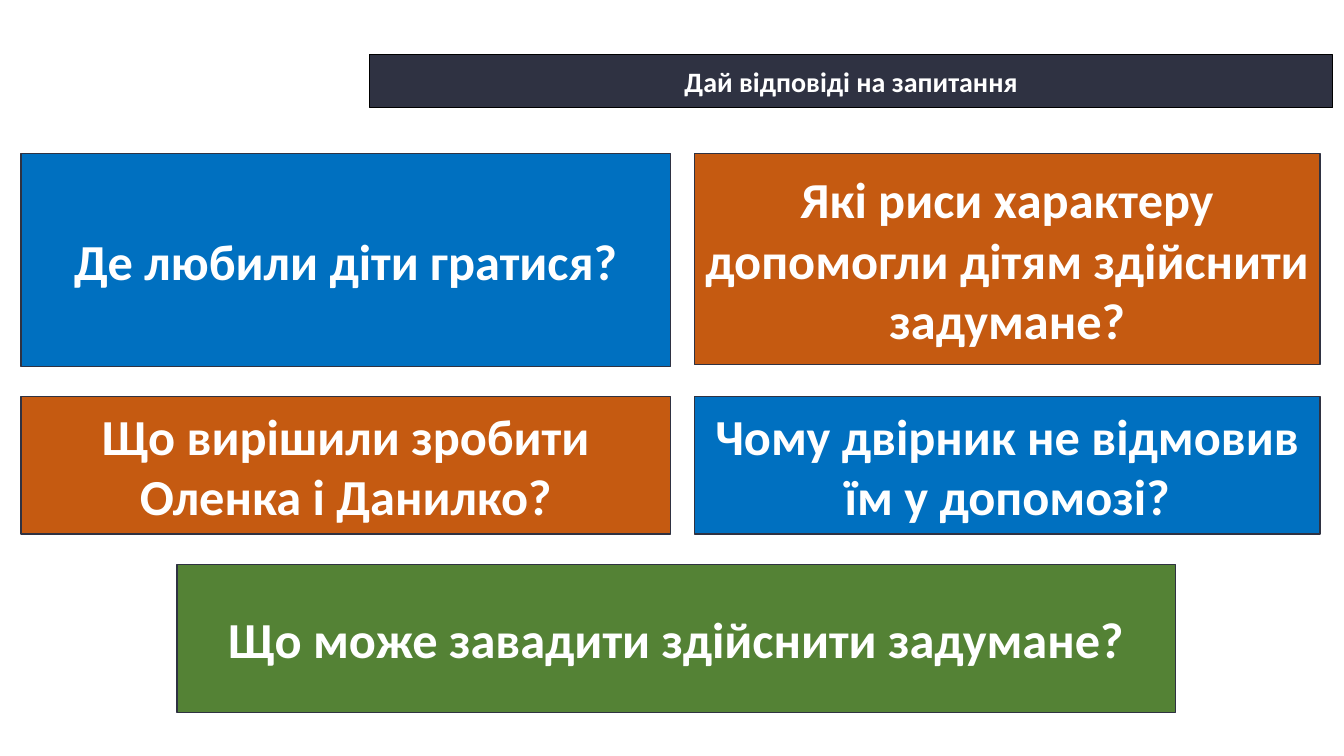
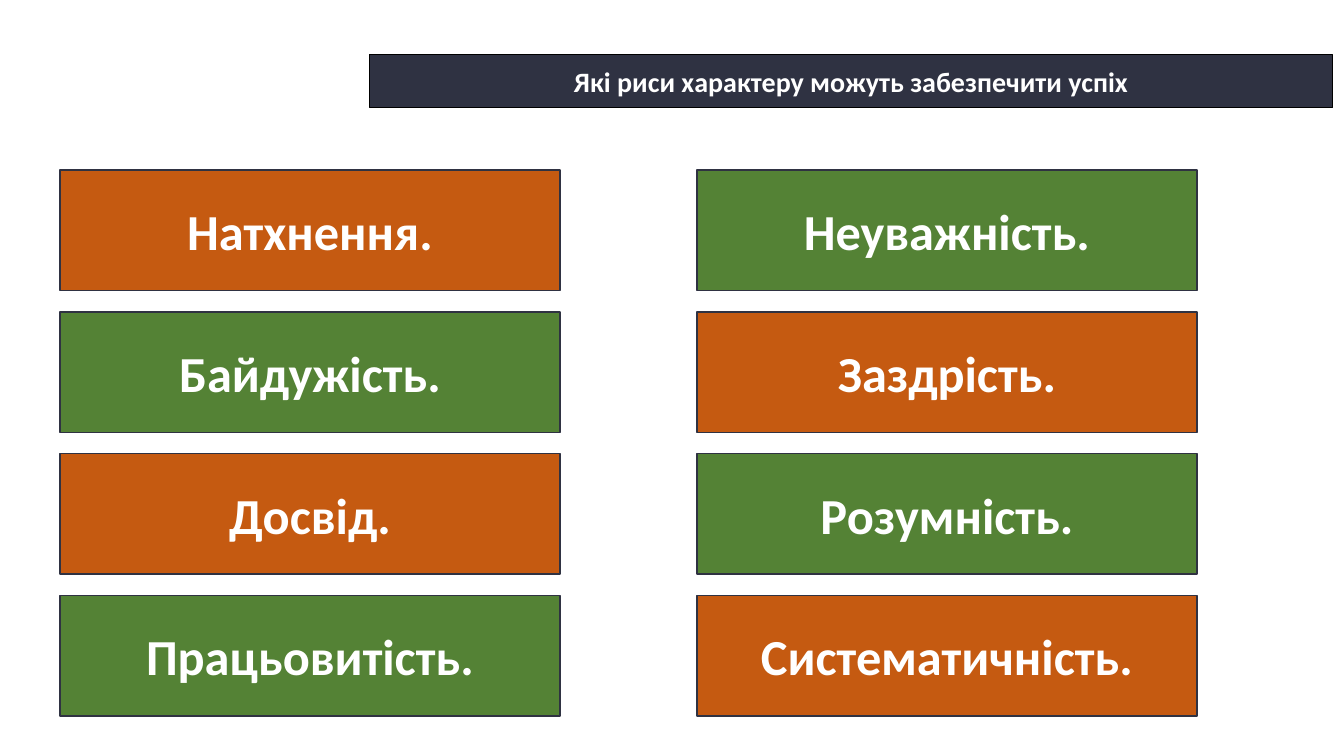
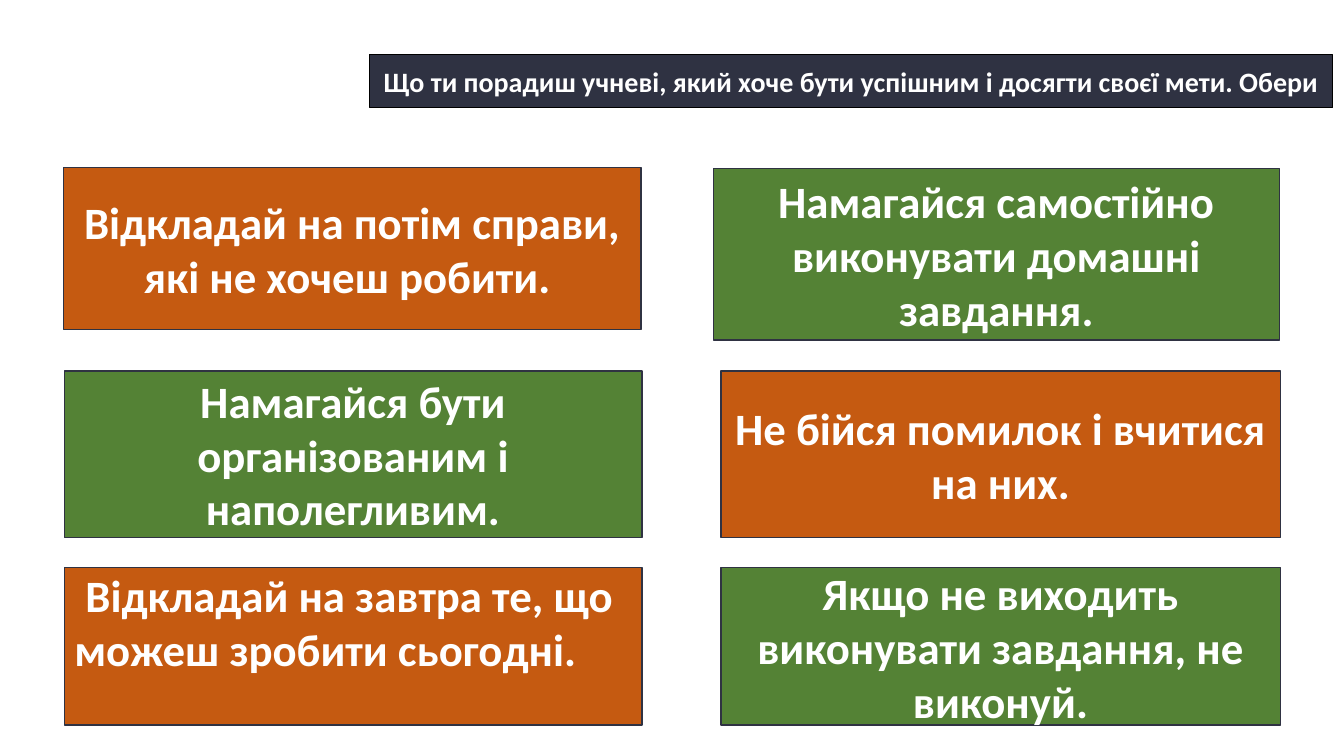
from dataclasses import dataclass

import pptx
import pptx.dml.color
import pptx.enum.shapes
import pptx.enum.text
import pptx.util

Pt = pptx.util.Pt
Align = pptx.enum.text.PP_ALIGN
Anchor = pptx.enum.text.MSO_ANCHOR

NAVY = "2F3242"
BLACK = "000000"
WHITE = "FFFFFF"
BLUE = "0070C0"
ORANGE = "C55A11"
GREEN = "548235"


@dataclass(frozen=True)
class Box:
    text: str
    left: float
    top: float
    width: float
    height: float
    fill: str
    size: int = 36
    line: str = NAVY
    anchor: Anchor = Anchor.MIDDLE
    align: Align = Align.CENTER
    margin_top: float = 3.6
    first_indent: float = 0


def color(value: str) -> pptx.dml.color.RGBColor:
    return pptx.dml.color.RGBColor.from_string(value)


def apply(target: object, values: dict) -> None:
    for name, value in values.items():
        setattr(target, name, value)


def draw_box(slide: pptx.slide.Slide, box: Box) -> None:
    shape = slide.shapes.add_shape(
        pptx.enum.shapes.MSO_SHAPE.RECTANGLE,
        Pt(box.left), Pt(box.top), Pt(box.width), Pt(box.height),
    )
    shape.shadow.inherit = False
    shape.fill.solid()
    shape.fill.fore_color.rgb = color(box.fill)
    shape.line.color.rgb = color(box.line)
    shape.line.width = Pt(1)

    frame = shape.text_frame
    apply(frame, {
        "word_wrap": True,
        "vertical_anchor": box.anchor,
        "margin_top": Pt(box.margin_top),
    })
    paragraph = frame.paragraphs[0]
    paragraph.alignment = box.align
    if box.first_indent:
        properties = paragraph._p.get_or_add_pPr()
        properties.set("marL", "0")
        properties.set("indent", str(Pt(box.first_indent)))
    run = paragraph.add_run()
    run.text = box.text
    apply(run.font, {"name": "Calibri", "size": Pt(box.size), "bold": True})
    run.font.color.rgb = color(WHITE)


def add_slide(presentation: pptx.presentation.Presentation, title: str, boxes: list[Box]) -> None:
    slide = presentation.slides.add_slide(presentation.slide_layouts[6])
    title_band = Box(title, 264, 39, 688, 38, NAVY, size=20, line=BLACK)
    for box in [title_band, *boxes]:
        draw_box(slide, box)


def question_boxes() -> list[Box]:
    left, right = (15, 464), (496, 447)
    upper, lower = 109.5, 283
    return [
        Box("Де любили діти гратися?", left[0], upper, left[1], 152.5, BLUE),
        Box("Що вирішили зробити Оленка і Данилко?", left[0], lower, left[1], 98.5, ORANGE),
        Box("Які риси характеру допомогли дітям здійснити задумане?",
            right[0], upper, right[1], 151, ORANGE),
        Box("Чому двірник не відмовив їм у допомозі?", right[0], lower, right[1], 98.5, BLUE),
        Box("Що може завадити здійснити задумане?", 126.5, 403, 713, 106, GREEN),
    ]


def trait_boxes() -> list[Box]:
    """Two columns of four, with the two fills alternating like a chessboard."""
    columns = [
        (43, ["Натхнення.", "Байдужість.", "Досвід.", "Працьовитість."]),
        (498, ["Неуважність.", "Заздрість.", "Розумність.", "Систематичність."]),
    ]
    fills = [ORANGE, GREEN]
    return [
        Box(trait, left, 121.5 + 101.3 * row, 357, 86, fills[(row + column) % 2])
        for column, (left, traits) in enumerate(columns)
        for row, trait in enumerate(traits)
    ]


def advice_boxes() -> list[Box]:
    middle, bottom = (265, 119), (405.5, 112.5)
    left, left_width = 46, 412.5
    right, right_width = 515, 399.5
    return [
        Box("Відкладай на потім справи, які не хочеш робити. ",
            45.5, 119.5, left_width, 116, ORANGE, 32),
        Box("Намагайся самостійно виконувати домашні завдання.",
            509.5, 120.5, 404.5, 122.5, GREEN, 32),
        Box("Намагайся бути організованим і наполегливим.",
            left, middle[0], left_width, middle[1], GREEN, 32),
        Box("Не бійся помилок і вчитися на них.",
            right, middle[0], right_width, middle[1], ORANGE, 32),
        Box("Відкладай на завтра те, що можеш зробити сьогодні.",
            left, bottom[0], left_width, bottom[1], ORANGE, 32,
            anchor=Anchor.TOP, align=Align.LEFT, margin_top=0, first_indent=8),
        Box("Якщо не виходить виконувати завдання, не виконуй.",
            right, bottom[0], right_width, bottom[1], GREEN, 32),
    ]


def main() -> None:
    presentation = pptx.Presentation()
    apply(presentation, {"slide_width": Pt(960), "slide_height": Pt(540)})
    add_slide(presentation, "Дай відповіді на запитання", question_boxes())
    add_slide(presentation, "Які риси характеру можуть забезпечити успіх", trait_boxes())
    add_slide(
        presentation,
        "Що ти порадиш учневі, який хоче бути успішним і досягти своєї мети. Обери",
        advice_boxes(),
    )
    presentation.save("out.pptx")


if __name__ == "__main__":
    main()
